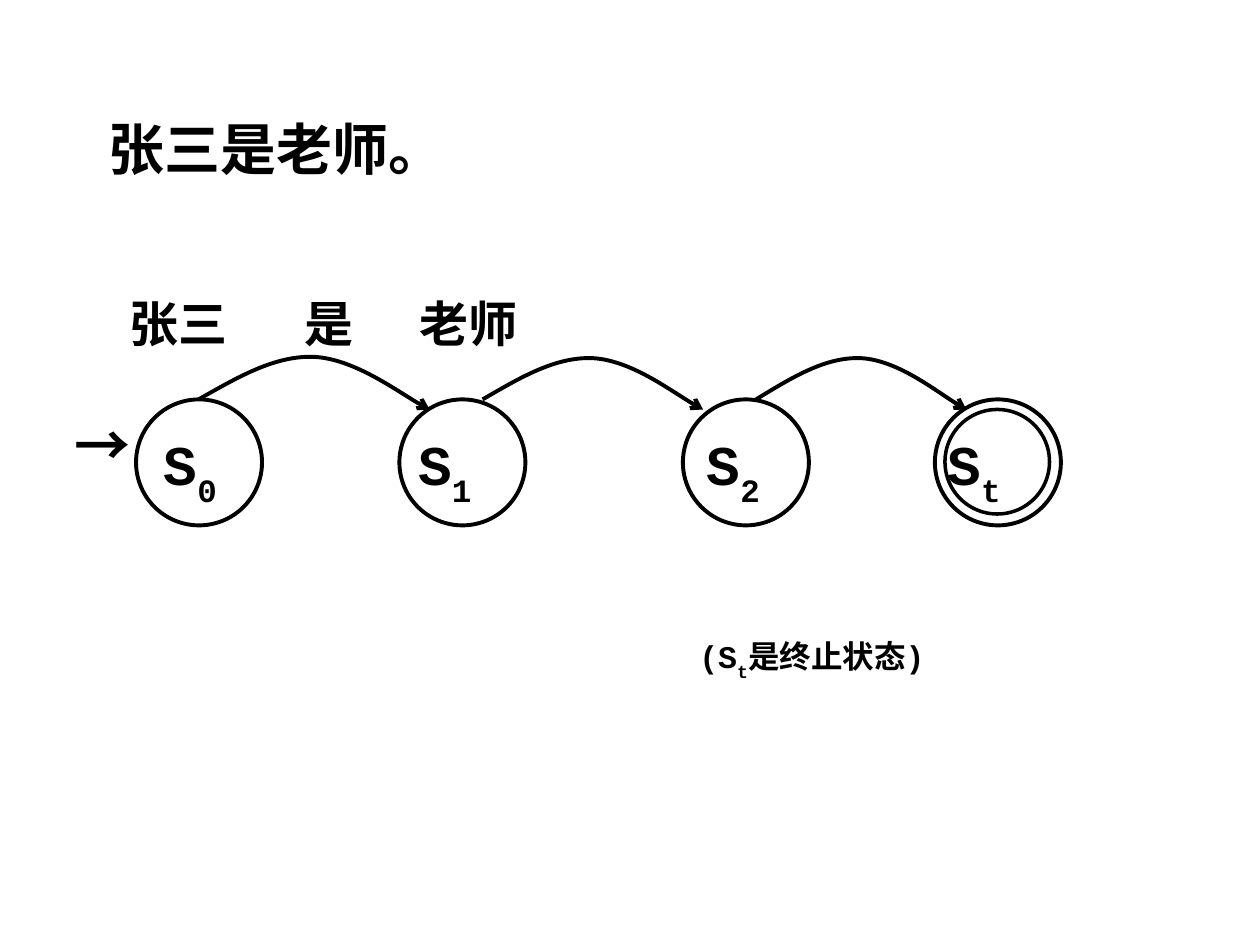
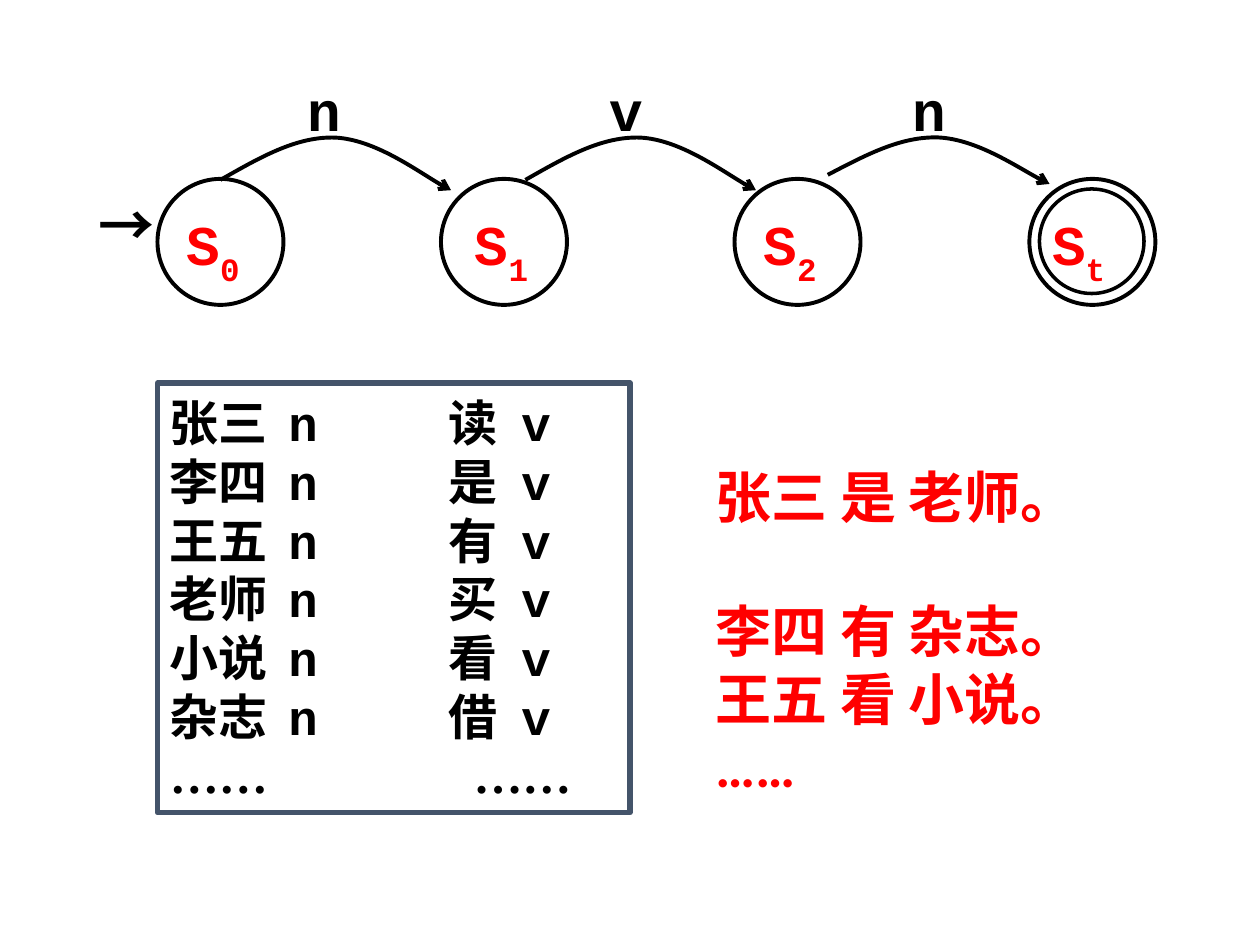
import pptx
import pptx.util
import pptx.dml.color
import pptx.enum.shapes
import pptx.enum.text
import pptx.oxml
import pptx.oxml.ns
import lxml.etree

Inches = pptx.util.Inches
Pt = pptx.util.Pt
qn = pptx.oxml.ns.qn
SHAPES = pptx.enum.shapes.MSO_SHAPE
COLORS = {"ink": "000000", "accent": "FF0000", "frame": "44546A"}
CJK, MONO, SERIF, SANS = "Noto Sans CJK SC", "Courier New", "Times New Roman", "Calibri"
ARC = [(0, 0.81), (0.17, 0.4), (0.33, 0), (0.5, 0.03), (0.67, 0.07), (0.92, 0.84), (1, 1)]
FRAME = {"word_wrap": False, "margin_left": 0, "margin_right": 0, "margin_top": 0, "margin_bottom": 0,
         "vertical_anchor": pptx.enum.text.MSO_ANCHOR.TOP,
         "auto_size": pptx.enum.text.MSO_AUTO_SIZE.NONE}


def write(para, pieces, size, color="ink"):
    para.alignment = pptx.enum.text.PP_ALIGN.LEFT
    for text, font, *base in pieces:
        span = para.add_run()
        span.text = text
        for name, value in {"size": Pt(size), "bold": True, "name": font}.items():
            setattr(span.font, name, value)
        span.font.color.rgb = pptx.dml.color.RGBColor.from_string(COLORS[color])
        props = span._r.get_or_add_rPr()
        east = lxml.etree.SubElement(props, qn("a:ea"))
        east.set("typeface", font if text.startswith("…") else CJK)
        if base:
            props.set("baseline", str(base[0] * 1000))


def outline(shape, width, color="ink"):
    shape.shadow.inherit = False
    shape.fill.background()
    shape.line.color.rgb = pptx.dml.color.RGBColor.from_string(COLORS[color])
    shape.line.width = Pt(width)


deck = pptx.Presentation()
deck.slide_width, deck.slide_height = Inches(10), Inches(7.5)
sentence_page = deck.slides.add_slide(deck.slide_layouts[5])
category_page = deck.slides.add_slide(deck.slide_layouts[6])

title = sentence_page.shapes.title
title.left, title.top, title.width, title.height = Inches(0.86), Inches(0.91), Inches(8), Inches(0.65)
for name, value in FRAME.items():
    setattr(title.text_frame, name, value)
write(title.text_frame.paragraphs[0], [("张三是老师。", CJK)], 32)

automata = [
    {"page": sentence_page, "top": 3.17, "color": "ink",
     "states": [1.08, 3.17, 5.42, 7.42], "names": [1.3, 3.32, 5.61, 7.52], "start": 0.59,
     "arcs": [(1.58, 2.82, 1.83, 0.43), (3.83, 2.83, 1.75, 0.42), (6, 2.83, 1.67, 0.42)]},
    {"page": category_page, "top": 1.42, "color": "accent",
     "states": [1.25, 3.5, 5.83, 8.17], "names": [1.48 + 2.29 * i for i in range(4)], "start": 0.78,
     "arcs": [(1.75, 1.08, 1.83, 0.43), (4.17, 1.08, 1.83, 0.43), (6.57, 1.08, 1.76, 0.38)]},
]
labels = [(sentence_page, x, 2.33, 28, "ink", [(word, CJK)])
          for x, word in zip([1.03, 2.42, 3.33], ["张三", "是", "老师"])]
labels += [(category_page, 2.44 + 2.4 * i, 0.6, 32, "ink", [(tag, MONO)]) for i, tag in enumerate("nvn")]
labels.append((sentence_page, 5.55, 5.06, 18, "ink",
               [("(S", MONO), ("t", MONO, -30), ("是终止状态", CJK), (")", MONO)]))

for automaton in automata:
    page, top = automaton["page"], automaton["top"]
    circles = [(x, top, 1, 2.25) for x in automaton["states"]]
    circles.append((automaton["states"][-1] + 0.08, top + 0.08, 0.83, 2))
    for x, y, size, width in circles:
        circle = page.shapes.add_shape(SHAPES.OVAL, Inches(x), Inches(y), Inches(size), Inches(size))
        outline(circle, width)
    for x, y, width, height in automaton["arcs"]:
        points = [(Inches(x + width * u), Inches(y + height * v)) for u, v in ARC]
        builder = page.shapes.build_freeform(*points[0])
        builder.add_line_segments(points[1:], close=False)
        arc = builder.convert_to_shape()
        outline(arc, 2.25)
        lines = list(arc._element.iter(qn("a:lnTo")))
        for first in range(0, len(lines), 3):
            curve = lxml.etree.SubElement(lines[first].getparent(), qn("a:cubicBezTo"))
            for line in lines[first:first + 3]:
                curve.append(line[0])
                line.getparent().remove(line)
        head = lxml.etree.SubElement(arc.line._get_or_add_ln(), qn("a:tailEnd"))
        head.set("type", "arrow")
    labels.append((page, automaton["start"], top + 0.09, 32, "ink", [("→", CJK)]))
    labels += [(page, x, top + 0.24, 32, automaton["color"], [("S", MONO), (index, MONO, -30)])
               for x, index in zip(automaton["names"], "012t")]

for page, x, y, size, color, pieces in labels:
    box = page.shapes.add_textbox(Inches(x), Inches(y), Inches(0.9), Inches(size / 45))
    for name, value in FRAME.items():
        setattr(box.text_frame, name, value)
    write(box.text_frame.paragraphs[0], pieces, size, color)

lexicon = category_page.shapes.add_shape(SHAPES.RECTANGLE, Inches(1.25), Inches(3.04), Inches(3.75), Inches(3.41))
outline(lexicon, 3, "frame")
nouns = ["张三", "李四", "王五", "老师", "小说", "杂志"]
verbs = ["读", "是", "有", "买", "看", "借"]
entries = [([0.94, 2.21, 2.79], [(noun, CJK), ("\tn\t", MONO), (verb, CJK), ("\tv", MONO)])
           for noun, verb in zip(nouns, verbs)]
entries.append(([2.41], [("……", SERIF), ("\t", SERIF), ("……", SERIF)]))

sentences = category_page.shapes.add_textbox(Inches(5.58), Inches(3.58), Inches(4.08), Inches(2.79))
examples = [([], [(text, SANS)]) for text in ["张三 是 老师。", "李四 有 杂志。", "王五 看 小说。", "……"]]

for box, rows, size, pitch, color, inset in [(lexicon, entries, 28, 33.5, "ink", 0.08),
                                             (sentences, examples, 32, 38.4, "accent", 0.09)]:
    frame = box.text_frame
    for name, value in {**FRAME, "word_wrap": True, "margin_left": Inches(0.1),
                        "margin_top": Inches(inset)}.items():
        setattr(frame, name, value)
    for number, (stops, pieces) in enumerate(rows):
        para = frame.paragraphs[0] if number == 0 else frame.add_paragraph()
        para.line_spacing = Pt(pitch)
        if box is sentences and number == 1:
            para.space_before = Pt(pitch)
        if stops:
            tabs = lxml.etree.SubElement(para._p.get_or_add_pPr(), qn("a:tabLst"))
            for stop in stops:
                tab = lxml.etree.SubElement(tabs, qn("a:tab"))
                tab.set("pos", str(Inches(stop)))
                tab.set("algn", "l")
        write(para, pieces, size, color)

deck.save("out.pptx")
